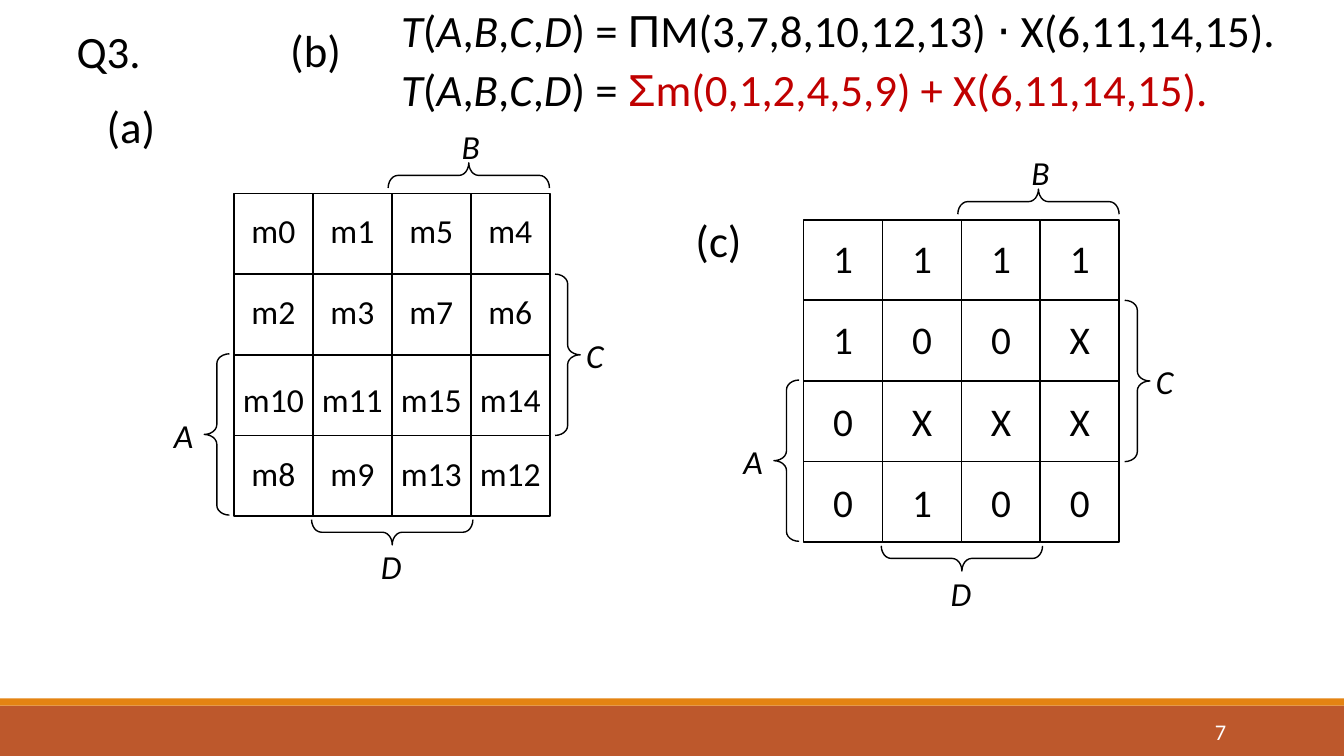
import dataclasses
import itertools

import pptx
import pptx.dml.color
import pptx.enum.shapes
import pptx.enum.text
import pptx.util

Inches = pptx.util.Inches
Pt = pptx.util.Pt
RGB = pptx.dml.color.RGBColor
SHAPE = pptx.enum.shapes.MSO_SHAPE
ALIGN = pptx.enum.text.PP_ALIGN
ANCHOR = pptx.enum.text.MSO_ANCHOR


@dataclasses.dataclass(frozen=True)
class Theme:
    ink: RGB = RGB.from_string("000000")
    answer: RGB = RGB.from_string("C00000")
    band: RGB = RGB.from_string("BD582C")
    stripe: RGB = RGB.from_string("E48312")
    paper: RGB = RGB.from_string("FFFFFF")
    font: str = "Calibri"
    symbol_font: str = "Arial"
    heading: int = 32
    value: int = 28
    label: int = 24
    page_number: int = 16


THEME = Theme()
CELL_WIDTH, CELL_HEIGHT = 0.783, 0.8
BRACE_WIDTH, BRACE_LENGTH = 0.25, 1.6


def inches(*lengths):
    return [Inches(length) for length in lengths]


def add_span(para, text, size, color=THEME.ink, **formats):
    span = para.add_run()
    span.text = text
    span.font.color.rgb = color
    for name, value in {"name": THEME.font, "size": Pt(size), **formats}.items():
        setattr(span.font, name, value)


def format_frame(frame, align, anchor=ANCHOR.TOP, line_spacing=1.0):
    """Set up the frame and return its first paragraph."""
    settings = {"word_wrap": True, "vertical_anchor": anchor,
                "auto_size": pptx.enum.text.MSO_AUTO_SIZE.NONE}
    for name, value in settings.items():
        setattr(frame, name, value)
    para = frame.paragraphs[0]
    para.alignment = align
    para.line_spacing = line_spacing
    return para


def add_label(shapes, box, text, size, **formats):
    """Add centred text in a box."""
    frame = shapes.add_textbox(*inches(*box)).text_frame
    add_span(format_frame(frame, ALIGN.CENTER), text, size, **formats)


def add_heading(page, box, text):
    """Add left-aligned large text and return its paragraph."""
    frame = page.shapes.add_textbox(*inches(*box)).text_frame
    para = format_frame(frame, ALIGN.LEFT, line_spacing=0.9)
    if text:
        add_span(para, text, THEME.heading)
    return para


def add_title(page, box, text):
    title = page.shapes.title
    title.left, title.top, title.width, title.height = inches(*box)
    para = format_frame(title.text_frame, ALIGN.LEFT, line_spacing=0.9)
    add_span(para, text, THEME.heading)


def add_formula(page, box, symbol, terms, color):
    """Add the function T with its variables in italics, then its terms."""
    para = add_heading(page, box, "")
    for is_variable, letters in itertools.groupby("T(A,B,C,D) = ", str.isalpha):
        add_span(para, "".join(letters), THEME.heading, italic=is_variable)
    add_span(para, symbol, THEME.heading, color, name=THEME.symbol_font)
    add_span(para, terms, THEME.heading, color)


def add_outline(shapes, kind, box, weight):
    shape = shapes.add_shape(kind, *inches(*box))
    shape.shadow.inherit = False
    shape.fill.background()
    shape.line.color.rgb = THEME.ink
    shape.line.width = Pt(weight)
    return shape


def add_map_frame(page, left, top):
    """Draw the 4 by 4 grid with a brace and a letter for each variable."""
    shapes = page.shapes.add_group_shape().shapes
    for row, column in itertools.product(range(4), repeat=2):
        box = (left + column * CELL_WIDTH, top + row * CELL_HEIGHT,
               CELL_WIDTH, CELL_HEIGHT)
        add_outline(shapes, SHAPE.RECTANGLE, box, 1.25)
    # Letter: brace centre, letter centre, brace rotation
    variables = {
        "A": ((-0.17, 2.39), (-0.5, 2.4), 180),
        "B": ((2.33, -0.18), (2.35, -0.47), 270),
        "C": ((3.31, 1.6), (3.58, 1.6), 0),
        "D": ((1.57, 3.36), (1.56, 3.7), 90),
    }
    for letter, (brace_at, letter_at, rotation) in variables.items():
        box = (left + brace_at[0] - BRACE_WIDTH / 2,
               top + brace_at[1] - BRACE_LENGTH / 2, BRACE_WIDTH, BRACE_LENGTH)
        brace = add_outline(shapes, SHAPE.RIGHT_BRACE, box, 1)
        brace.adjustments[0] = 0.39
        brace.rotation = rotation
        box = (left + letter_at[0] - 0.26, top + letter_at[1] - 0.25, 0.52, 0.5)
        add_label(shapes, box, letter, THEME.label, italic=True)


def add_map(page, left, top, rows, row_offsets, label_size, size):
    """Draw a Karnaugh map whose rows are strings of entries."""
    add_map_frame(page, left, top)
    width, height = label_size
    for row, offset in zip(rows, row_offsets):
        for column, entry in enumerate(row.split()):
            center = left + (column + 0.5) * CELL_WIDTH
            box = (center - width / 2, top + offset, width, height)
            add_label(page.shapes, box, entry, size)


def add_footer(page, left, top, width, height):
    bars = [(THEME.band, top + 0.07, height - 0.07), (THEME.stripe, top, 0.07)]
    for color, bar_top, bar_height in bars:
        bar = page.shapes.add_shape(
            SHAPE.RECTANGLE, *inches(left, bar_top, width, bar_height))
        bar.shadow.inherit = False
        bar.fill.solid()
        bar.fill.fore_color.rgb = color
        bar.line.fill.background()
    number = page.shapes.add_textbox(
        *inches(left + 10.83, top + 0.13, 1.43, 0.4))
    para = format_frame(number.text_frame, ALIGN.RIGHT, ANCHOR.MIDDLE)
    add_span(para, "7", THEME.page_number, THEME.paper)


def add_karnaugh_page(deck):
    page = deck.slides.add_slide(deck.slide_layouts.get_by_name("Title Only"))
    add_footer(page, 0, 6.93, 13.33, 0.57)
    add_title(page, (0.66, 0.25, 0.97, 0.72), "Q3.")
    for text, left, top in [("(a)", 0.96, 0.99), ("(b)", 2.78, 0.24),
                            ("(c)", 6.8, 2.12)]:
        add_heading(page, (left, top, 0.86, 0.72), text)
    add_formula(page, (3.88, 0.04, 9.22, 0.72), "Π",
                "M(3,7,8,10,12,13) ⋅ X(6,11,14,15).", THEME.ink)
    add_formula(page, (3.88, 0.62, 8.57, 0.72), "Σ",
                "m(0,1,2,4,5,9) + X(6,11,14,15).", THEME.answer)
    add_map(page, 2.32, 1.92,
            ["m0 m1 m5 m4", "m2 m3 m7 m6", "m10 m11 m15 m14", "m8 m9 m13 m12"],
            (0.11, 0.92, 1.79, 2.52), (1.02, 0.5), THEME.label)
    add_map(page, 7.97, 2.18, ["1 1 1 1", "1 0 0 X", "0 X X X", "0 1 0 0"],
            (0.1, 0.9, 1.71, 2.52), (0.79, 0.57), THEME.value)


def main():
    deck = pptx.Presentation()
    deck.slide_width, deck.slide_height = inches(13.33, 7.5)
    add_karnaugh_page(deck)
    deck.save("out.pptx")


if __name__ == "__main__":
    main()
